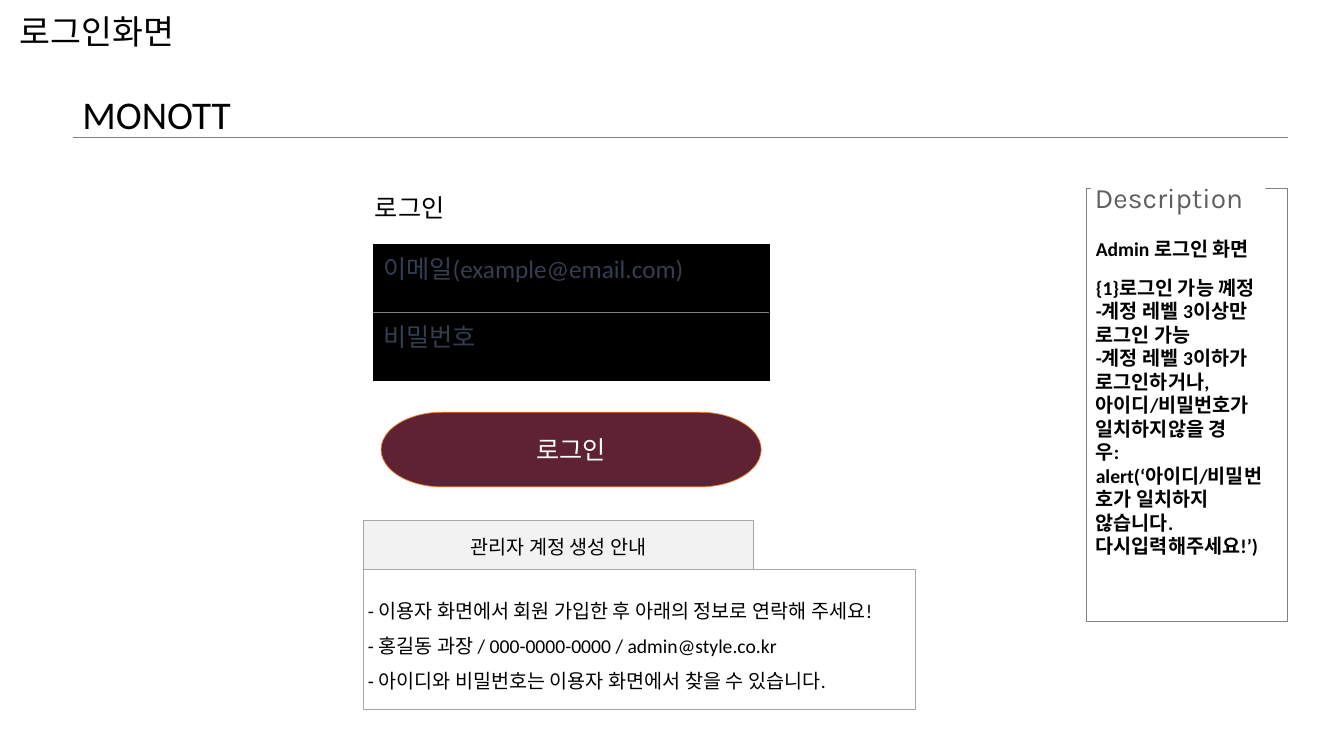
import pptx
import pptx.util
import pptx.dml.color
import pptx.enum.shapes
import pptx.enum.text
import pptx.oxml
import pptx.oxml.ns

Inches = pptx.util.Inches
Pt = pptx.util.Pt
SHAPE = pptx.enum.shapes.MSO_SHAPE
MIDDLE = pptx.enum.text.MSO_ANCHOR.MIDDLE
CENTER = pptx.enum.text.PP_ALIGN.CENTER
PLAIN_INSETS = (0.1, 0.05, 0.1, 0.05)
TIGHT_INSETS = (0.04, 0.04, 0.04, 0.04)


def color(value):
    return pptx.dml.color.RGBColor.from_string(value)


def set_all(target, values):
    for name, value in values.items():
        setattr(target, name, value)


def write(frame, lines, size=18, ink="000000", font="Calibri", bold=False,
          insets=PLAIN_INSETS, wrap=True, anchor=None, **para_format):
    left, top, right, bottom = map(Inches, insets)
    set_all(frame, {"margin_left": left, "margin_top": top, "margin_right": right,
                    "margin_bottom": bottom, "word_wrap": wrap})
    if anchor is not None:
        frame.vertical_anchor = anchor
    para_format = {"alignment": pptx.enum.text.PP_ALIGN.LEFT, **para_format}
    for index, line in enumerate(lines):
        para = frame.paragraphs[0] if index == 0 else frame.add_paragraph()
        set_all(para, para_format)
        span = para.add_run()
        span.text = line
        set_all(span.font, {"size": Pt(size), "name": font, "bold": bold})
        span.font.color.rgb = color(ink)


def add_text(page, box, line, **text_format):
    text_box = page.shapes.add_textbox(*map(Inches, box))
    write(text_box.text_frame, [line], **text_format)


def add_box(page, box, lines, fill=None, line=None, width=0.5,
            preset=SHAPE.RECTANGLE, **text_format):
    shape = page.shapes.add_shape(preset, *map(Inches, box))
    shape.shadow.inherit = False
    if fill:
        shape.fill.solid()
        shape.fill.fore_color.rgb = color(fill)
    else:
        shape.fill.background()
    if line:
        shape.line.color.rgb = color(line)
        shape.line.width = Pt(width)
    else:
        shape.line.fill.background()
    write(shape.text_frame, lines, **text_format)
    return shape


def add_rule(page, left, top, width):
    rule = page.shapes.add_connector(
        pptx.enum.shapes.MSO_CONNECTOR.STRAIGHT,
        Inches(left), Inches(top), Inches(left + width), Inches(top))
    rule.line.color.rgb = color("808080")
    rule.line.width = Pt(0.5)
    properties = rule._element.spPr
    properties.append(properties.makeelement(pptx.oxml.ns.qn("a:effectLst"), {}))


def border_cell(cell, ink):
    properties = cell._tc.get_or_add_tcPr()
    for index, side in enumerate(("lnL", "lnR", "lnT", "lnB")):
        properties.insert(index, pptx.oxml.parse_xml(
            f'<a:{side} {pptx.oxml.ns.nsdecls("a")} w="6350"><a:solidFill>'
            f'<a:srgbClr val="{ink}"/></a:solidFill></a:{side}>'))


def add_header(page, left, top, width):
    add_text(page, (left, top, 1.73, 0.57), "MONOTT", size=28)
    add_rule(page, left, top + 0.51, width)


def add_login_form(page, left, top, width):
    add_text(page, (left - 0.08, top, 1.17, 0.4), "로그인")

    # Input fields
    fields = ["이메일(example@email.com)", "비밀번호"]
    field_top, field_height = top + 0.56, 0.675
    frame = page.shapes.add_table(
        len(fields), 1, Inches(left), Inches(field_top), Inches(width),
        Inches(field_height * len(fields)))
    table = frame.table
    set_all(table, {"first_row": False, "horz_banding": False})
    for row, label in enumerate(fields):
        cell = table.cell(row, 0)
        cell.fill.solid()
        cell.fill.fore_color.rgb = color("000000")
        border_cell(cell, "000000")
        write(cell.text_frame, [label], ink="333F50")
    add_rule(page, left, field_top + field_height, width)

    # Login button
    add_box(page, (left + 0.08, top + 2.23, width - 0.16, 0.74), ["로그인"],
            fill="5E2233", line="ED7D31", preset=SHAPE.FLOWCHART_TERMINATOR,
            ink="FFFFFF", anchor=MIDDLE, alignment=CENTER)


def add_account_guide(page, left, top, width, height):
    tab_height = 0.49
    look = {"line": "A6A6A6", "width": 0.75, "size": 14, "insets": TIGHT_INSETS,
            "wrap": False, "anchor": MIDDLE}
    add_box(page, (left, top + tab_height, width, height - tab_height),
            ["- 이용자 화면에서 회원 가입한 후 아래의 정보로 연락해 주세요!",
             "- 홍길동 과장 / 000-0000-0000 / admin@style.co.kr",
             "- 아이디와 비밀번호는 이용자 화면에서 찾을 수 있습니다."],
            line_spacing=1.5, **look)
    add_box(page, (left, top, 3.86, tab_height), ["관리자 계정 생성 안내"],
            fill="F2F2F2", alignment=CENTER, line_spacing=1.2, **look)


def add_description(page, left, top, width, height):
    panel = add_box(
        page, (left, top, width, height),
        ["Admin 로그인 화면",
         "{1}로그인 가능 꼐정",
         "-계정 레벨 3이상만 로그인 가능",
         "-계정 레벨 3이하가 로그인하거나,",
         "아이디/비밀번호가 일치하지않을 경우:alert(‘아이디/비밀번호가 일치하지 "
         "않습니다. 다시입력해주세요!’)"],
        fill="FFFFFF", line="808080", size=14, bold=True, anchor=MIDDLE,
        insets=(0.1, 0.05, 0.1, 0.2))
    panel.text_frame.paragraphs[0].space_after = Pt(11)
    # Heading that interrupts the top border
    add_box(page, (left + 0.05, top - 0.09, 1.73, 0.36), ["Description"],
            fill="FFFFFF", size=20, ink="5F5F5F", font="Karla",
            insets=(0.04, 0.01, 0.04, 0.01), anchor=pptx.enum.text.MSO_ANCHOR.TOP)


def main():
    deck = pptx.Presentation()
    set_all(deck, {"slide_width": Inches(13.33), "slide_height": Inches(7.5)})
    page = deck.slides.add_slide(deck.slide_layouts[6])
    add_text(page, (0.1, 0.16, 11.5, 0.35), "로그인화면", size=24,
             anchor=MIDDLE, line_spacing=0.9)
    add_header(page, 0.72, 0.85, 12.05)
    add_login_form(page, 3.7, 1.86, 3.93)
    add_account_guide(page, 3.61, 5.16, 5.47, 1.88)
    add_description(page, 10.77, 1.87, 2, 4.29)
    deck.save("out.pptx")


if __name__ == "__main__":
    main()
